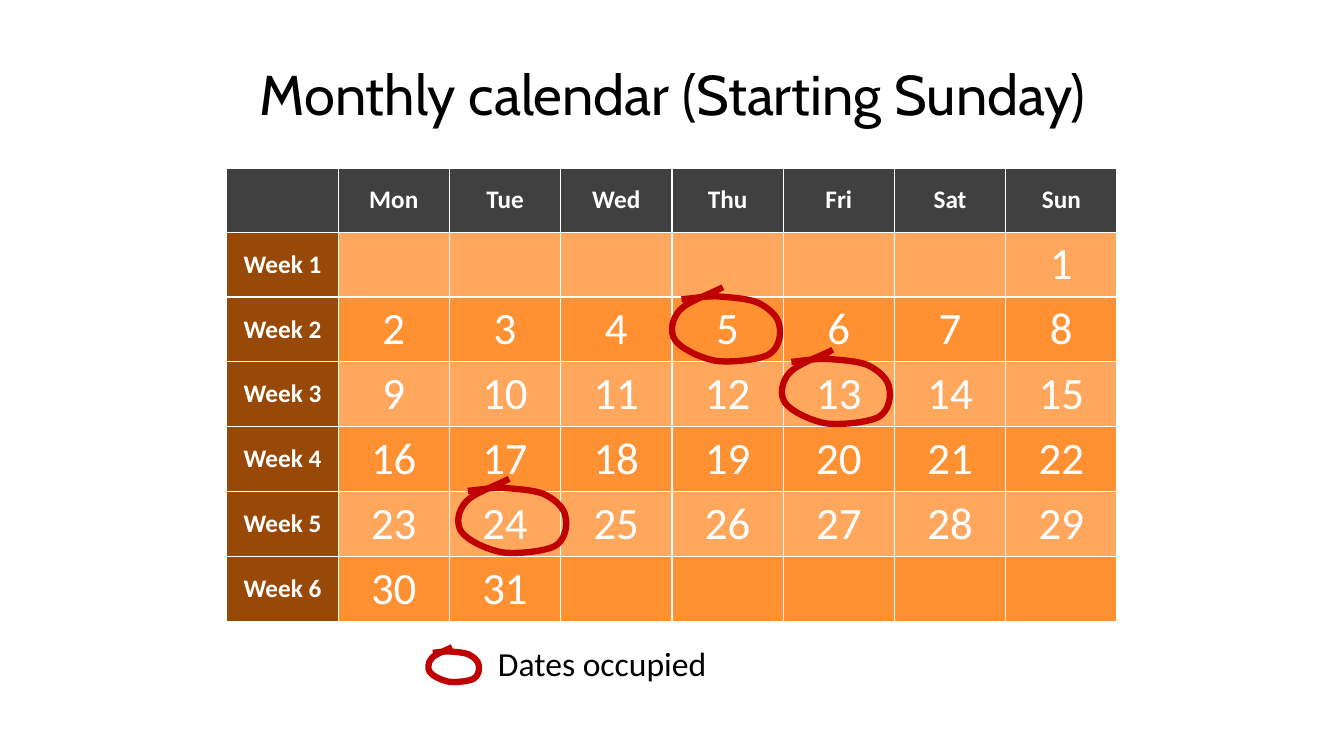
import lxml.etree
import pptx
import pptx.dml.color
import pptx.enum.text
import pptx.oxml
import pptx.oxml.ns
import pptx.util

Inches = pptx.util.Inches
Pt = pptx.util.Pt
qn = pptx.oxml.ns.qn

DAYS = ["Mon", "Tue", "Wed", "Thu", "Fri", "Sat", "Sun"]
WEEKS = 6
LAST_DATE = 31
FIRST_WEEKDAY = 6
HEADER, WEEK, BAND, ORANGE = "404040", "984807", "FFA75C", "FF9133"
LOOP_WIDTH, LOOP_HEIGHT = 1.07, 0.73
LOOP_START = (0.5, 0)
LOOP_CURVES = [
    ((0.37, 0.07), (0.15, 0.14), (0.07, 0.23)),
    ((-0.01, 0.32), (-0.03, 0.45), (0.03, 0.53)),
    ((0.09, 0.61), (0.27, 0.7), (0.43, 0.73)),
    ((0.58, 0.75), (0.85, 0.72), (0.95, 0.67)),
    ((1.06, 0.61), (1.08, 0.46), (1.06, 0.38)),
    ((1.05, 0.29), (0.95, 0.2), (0.84, 0.15)),
    ((0.74, 0.11), (0.56, 0.1), (0.43, 0.09)),
    ((0.31, 0.09), (0.2, 0.11), (0.09, 0.12)),
]
LOOPS = [(6.67, 2.85, 1), (7.76, 3.47, 1), (4.55, 4.75, 1), (4.25, 6.42, 0.47)]


def colour(value):
    return pptx.dml.color.RGBColor.from_string(value)


def write(frame, text, size, value, font="Calibri", bold=False, align="LEFT"):
    para = frame.paragraphs[0]
    para.text = text
    para.alignment = pptx.enum.text.PP_ALIGN[align]
    para.font.name = font
    para.font.size = Pt(size)
    para.font.bold = bold
    para.font.color.rgb = colour(value)


def add_title(page, text):
    title = page.shapes.title
    title.left, title.top = Inches(0.67), Inches(0.3)
    title.width, title.height = Inches(12), Inches(1.25)
    frame = title.text_frame
    frame.auto_size = pptx.enum.text.MSO_AUTO_SIZE.NONE
    frame.vertical_anchor = pptx.enum.text.MSO_ANCHOR.MIDDLE
    write(frame, text, 40, "000000", font="Cabin", align="CENTER")


def border_cell(cell):
    properties = cell._tc.get_or_add_tcPr()
    for index, side in enumerate(("lnL", "lnR", "lnT", "lnB")):
        properties.insert(index, pptx.oxml.parse_xml(
            f'<a:{side} {pptx.oxml.ns.nsdecls("a")} w="{Pt(1)}"><a:solidFill>'
            f'<a:srgbClr val="FFFFFF"/></a:solidFill></a:{side}>'))


def cell_content(row, column):
    if row == 0:
        return (DAYS[column - 1] if column else ""), HEADER
    if column == 0:
        return f"Week {row}", WEEK
    date = (row - 1) * len(DAYS) + column - FIRST_WEEKDAY
    text = str(date) if 1 <= date <= LAST_DATE else ""
    return text, BAND if row % 2 else ORANGE


def add_calendar(page):
    rows, columns = WEEKS + 1, len(DAYS) + 1
    table = page.shapes.add_table(rows, columns, Inches(2.25), Inches(1.67),
                                  Inches(8.83), Inches(4.43)).table
    for row in range(rows):
        for column in range(columns):
            cell = table.cell(row, column)
            text, fill = cell_content(row, column)
            cell.fill.solid()
            cell.fill.fore_color.rgb = colour(fill)
            border_cell(cell)
            cell.vertical_anchor = pptx.enum.text.MSO_ANCHOR.MIDDLE
            if text:
                heading = row == 0 or column == 0
                write(cell.text_frame, text, 18 if heading else 32, "FFFFFF",
                      bold=heading, align="CENTER")


def add_point(parent, point, scale):
    x, y = (str(Inches(value * scale)) for value in point)
    lxml.etree.SubElement(parent, qn("a:pt"), x=x, y=y)


def curve_outline(loop, scale):
    outline = next(loop._element.iter(qn("a:path")))
    outline.set("w", str(loop.width))
    outline.set("h", str(loop.height))
    for child in list(outline):
        outline.remove(child)
    add_point(lxml.etree.SubElement(outline, qn("a:moveTo")), LOOP_START, scale)
    for curve in LOOP_CURVES:
        segment = lxml.etree.SubElement(outline, qn("a:cubicBezTo"))
        for point in curve:
            add_point(segment, point, scale)


def add_loop(page, left, top, scale):
    builder = page.shapes.build_freeform(Inches(left), Inches(top))
    corner = (Inches(left + LOOP_WIDTH * scale), Inches(top + LOOP_HEIGHT * scale))
    builder.add_line_segments([corner], close=False)
    loop = builder.convert_to_shape()
    curve_outline(loop, scale)
    loop.shadow.inherit = False
    loop.fill.background()
    loop.line.color.rgb = colour("C00000")
    loop.line.width = Pt(4.5)


def add_label(page, text):
    box = page.shapes.add_textbox(Inches(4.84), Inches(6.33), Inches(2.29), Inches(0.5))
    frame = box.text_frame
    frame.word_wrap = False
    frame.auto_size = pptx.enum.text.MSO_AUTO_SIZE.SHAPE_TO_FIT_TEXT
    write(frame, text, 24, "000000")


def main():
    deck = pptx.Presentation()
    deck.slide_width, deck.slide_height = Inches(13.33), Inches(7.5)
    page = deck.slides.add_slide(deck.slide_layouts[5])
    add_title(page, "Monthly calendar (Starting Sunday)")
    add_calendar(page)
    for left, top, scale in LOOPS:
        add_loop(page, left, top, scale)
    add_label(page, "Dates occupied")
    deck.save("out.pptx")


if __name__ == "__main__":
    main()
